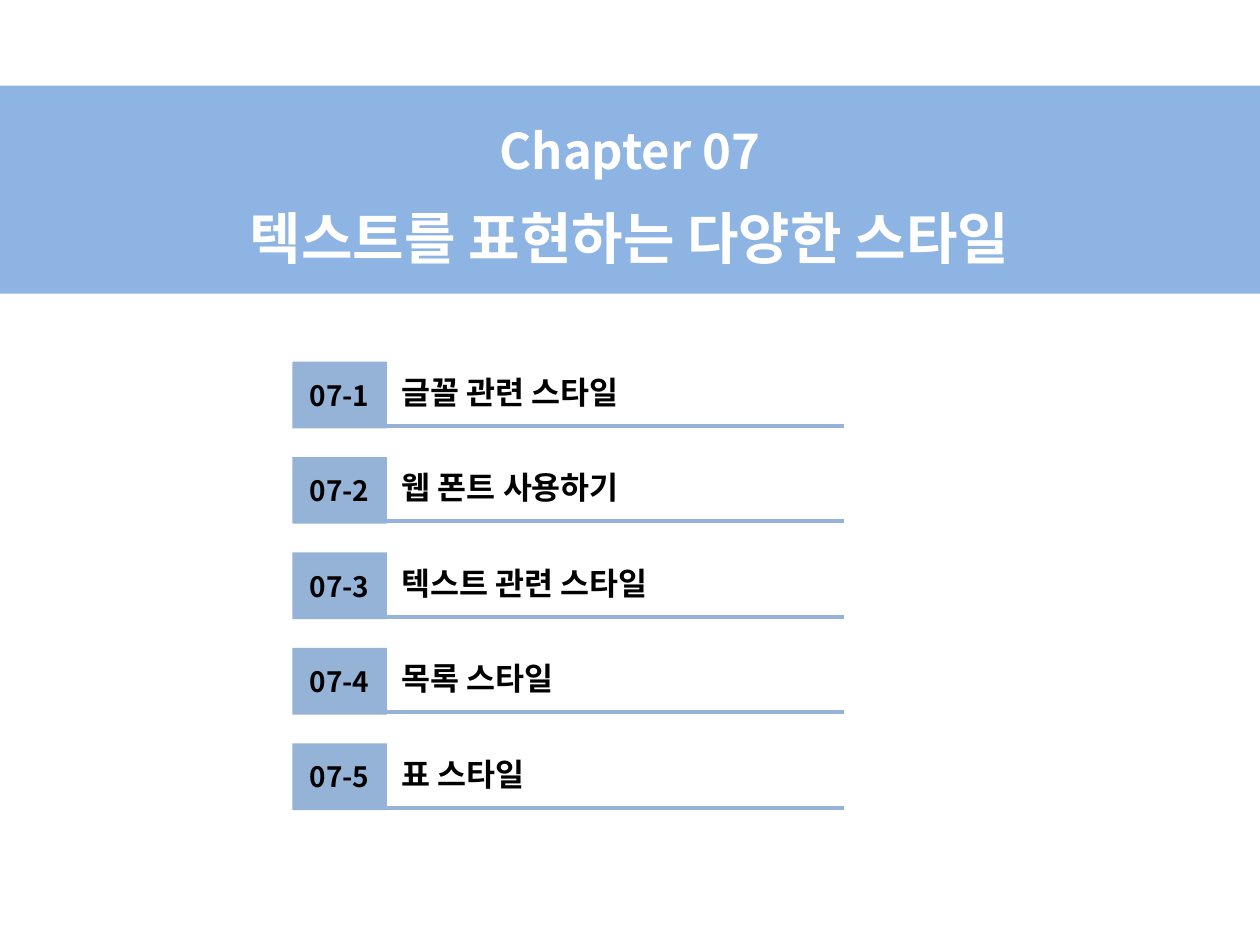
from lxml import etree
from pptx import Presentation
from pptx.dml.color import RGBColor
from pptx.enum import shapes, text
from pptx.oxml import ns
from pptx.util import Inches, Pt

FONT = "Noto Sans CJK KR"
BAND_BLUE = RGBColor(0x8E, 0xB4, 0xE3)
ROW_BLUE = RGBColor(0x95, 0xB3, 0xD7)
BLACK = RGBColor(0, 0, 0)
WHITE = RGBColor(0xFF, 0xFF, 0xFF)

SECTIONS = [
    ("07-1", "글꼴 관련 스타일"),
    ("07-2", "웹 폰트 사용하기"),
    ("07-3", "텍스트 관련 스타일"),
    ("07-4", "목록 스타일"),
    ("07-5", "표 스타일"),
]


def write(para, words, size, color=BLACK, align=text.PP_ALIGN.LEFT, spacing=1.0, before=0):
    para.alignment = align
    para.line_spacing = spacing
    para.space_before = Pt(before)
    span = para.add_run()
    span.text = words
    span.font.size = Pt(size)
    span.font.bold = True
    span.font.color.rgb = color
    span.font.name = FONT
    east_asian = etree.SubElement(span.font._element, ns.qn("a:ea"))
    east_asian.set("typeface", FONT)


def add_panel(parent, left, top, width, height, fill):
    panel = parent.add_shape(shapes.MSO_SHAPE.RECTANGLE, left, top, width, height)
    panel.shadow.inherit = False
    panel.fill.solid()
    panel.fill.fore_color.rgb = fill
    panel.line.fill.background()
    panel.text_frame.word_wrap = True
    panel.text_frame.vertical_anchor = text.MSO_ANCHOR.MIDDLE
    return panel


def add_chapter_band(page, left, top, width, height):
    frame = add_panel(page.shapes, left, top, width, height, BAND_BLUE).text_frame
    style = dict(color=WHITE, align=text.PP_ALIGN.CENTER, spacing=1.2)
    write(frame.paragraphs[0], "Chapter 07", 28, **style)
    write(frame.add_paragraph(), "텍스트를 표현하는 다양한 스타일", 32, before=6.4, **style)


def add_section_row(page, left, top, width, height, number, title):
    row = page.shapes.add_group_shape().shapes
    badge_width = Inches(0.75)
    badge = add_panel(row, left, top, badge_width, height, ROW_BLUE)
    write(badge.text_frame.paragraphs[0], number, 16, align=text.PP_ALIGN.CENTER)

    label = row.add_textbox(left + Inches(0.77), top + Inches(0.04), Inches(4.35), Inches(0.4))
    label.text_frame.word_wrap = True
    write(label.text_frame.paragraphs[0], title, 18)

    rule_top = top + height - Inches(0.02)
    rule = row.add_connector(
        shapes.MSO_CONNECTOR.STRAIGHT, left + badge_width, rule_top, left + width, rule_top
    )
    rule.line.color.rgb = ROW_BLUE
    rule.line.width = Pt(2.25)
    etree.SubElement(rule._element.spPr, ns.qn("a:effectLst"))


def add_section_list(page, left, top, width, height):
    row_height = Inches(0.53)
    pitch = (height - row_height) // (len(SECTIONS) - 1)
    for index, (number, title) in enumerate(SECTIONS):
        add_section_row(page, left, top + index * pitch, width, row_height, number, title)


def main():
    deck = Presentation()
    deck.slide_width = Inches(10)
    deck.slide_height = Inches(7.5)
    page = deck.slides.add_slide(deck.slide_layouts[6])
    add_section_list(page, Inches(2.32), Inches(2.87), Inches(4.38), Inches(3.56))
    add_chapter_band(page, 0, Inches(0.68), deck.slide_width, Inches(1.65))
    deck.save("out.pptx")


if __name__ == "__main__":
    main()
